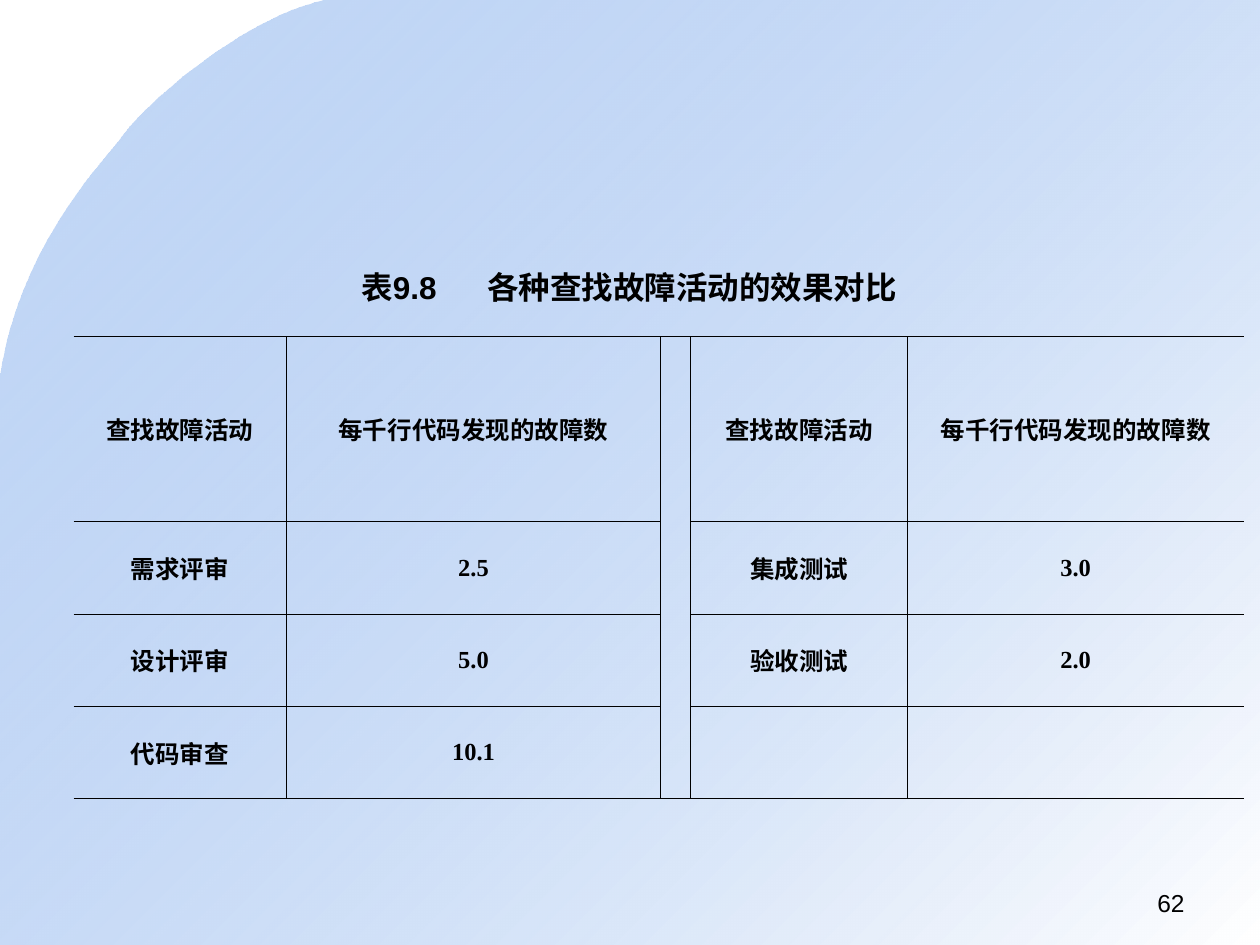
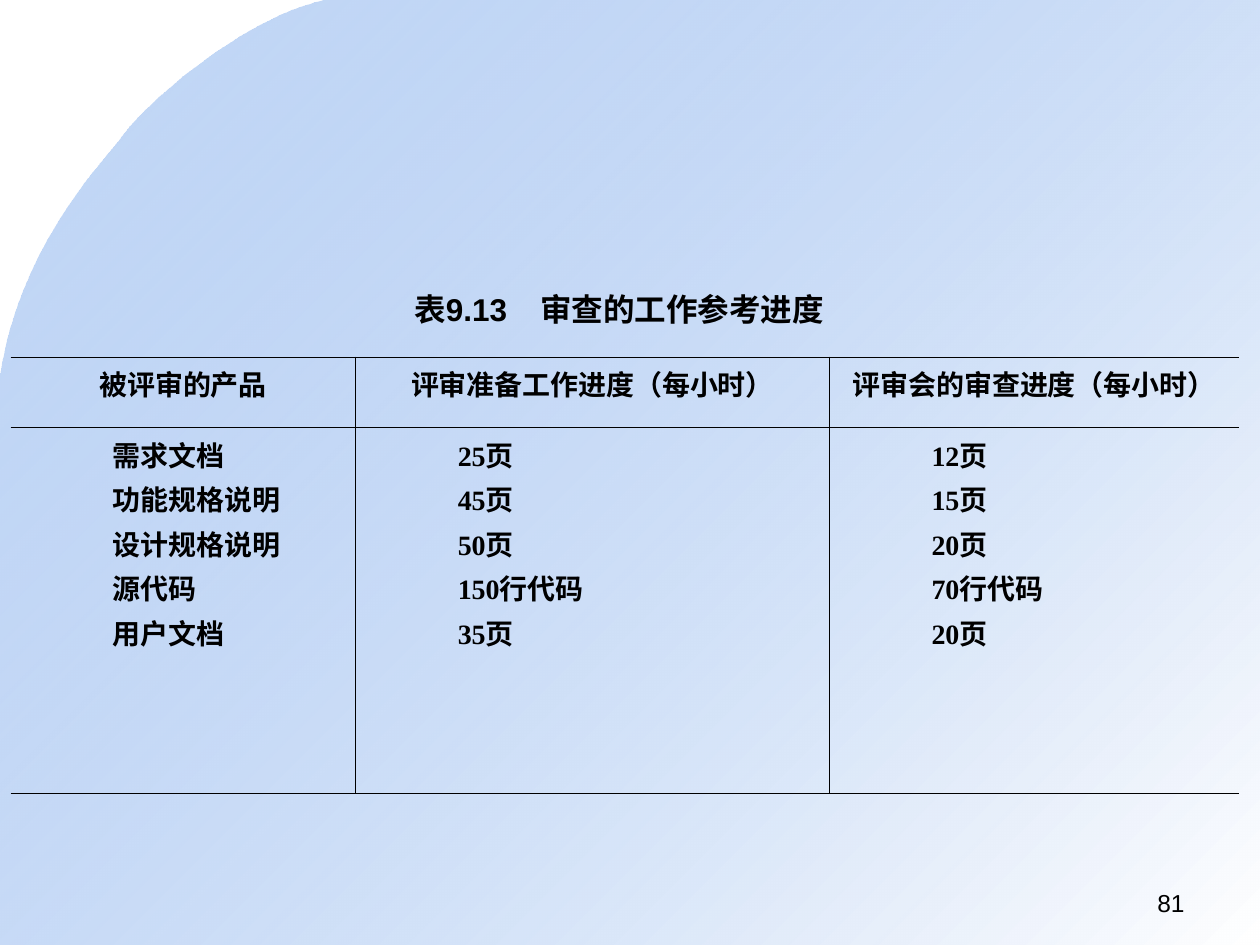
from lxml.etree import SubElement
from pptx import Presentation
from pptx.dml.color import RGBColor
from pptx.enum.text import MSO_ANCHOR, MSO_AUTO_SIZE, PP_ALIGN
from pptx.oxml import parse_xml
from pptx.oxml.ns import nsdecls, qn
from pptx.util import Pt

BLACK = RGBColor(0x00, 0x00, 0x00)
WHITE = RGBColor(0xFF, 0xFF, 0xFF)
SKY = RGBColor(0x69, 0x9D, 0xE9)
SKY_ALPHA = 39000
SANS, SERIF = "Arial", "Times New Roman"

SLIDE_WIDTH, SLIDE_HEIGHT = 720, 540
BACKDROP_BOX = (0, 0, SLIDE_WIDTH, SLIDE_HEIGHT)
PAGE_NUMBER_BOX = (516, 504, 168, 25.2)
TITLE_TAB = 72
RULE_WIDTH = 0.45
CELL_MARGIN = 5.76
PARAGRAPH_GAP = 1.2
LIST_MARGIN, LIST_INDENT = 31.68, 20.88

FAULT_COLUMNS = (121.68, 213.84, 17.28, 123.84, 192.24)
FAULT_ROW_HEIGHTS = (105.84, 52.8, 52.8, 52.8)
FAULT_ROWS = (
    ("查找故障活动", "每千行代码发现的故障数", "", "查找故障活动", "每千行代码发现的故障数"),
    ("需求评审", "2.5", "", "集成测试", "3.0"),
    ("设计评审", "5.0", "", "验收测试", "2.0"),
    ("代码审查", "10.1", "", "", ""),
)
GUTTER_COLUMN = 2

PACE_COLUMNS = (197.28, 270.72, 234)
PACE_ROW_HEIGHTS = (40.3, 208.8)
PACE_ROWS = (
    ("被评审的产品", "评审准备工作进度（每小时）", "评审会的审查进度（每小时）"),
    ("需求文档\n功能规格说明\n设计规格说明\n源代码\n用户文档",
     "25页\n45页\n50页\n150行代码\n35页",
     "12页\n15页\n20页\n70行代码\n20页"),
)


def set_font(paragraph, name, size, bold=False):
    font = paragraph.font
    font.name, font.size, font.bold = name, Pt(size), bold
    font.color.rgb = BLACK


def curve_points(start, control_1, control_2, end, steps=24):
    """Points along a cubic curve, without its start."""
    for step in range(1, steps + 1):
        t = step / steps
        weights = ((1 - t) ** 3, 3 * t * (1 - t) ** 2, 3 * t * t * (1 - t), t ** 3)
        yield tuple(sum(weight * point[axis] for weight, point
                        in zip(weights, (start, control_1, control_2, end)))
                    for axis in (0, 1))


def add_backdrop(slide, box):
    """Gradient sheet with a rounded upper left corner."""
    left, top, width, height = box
    corner, shoulder, side = (0.258, 0), (0.098, 0.143), (0, 0.401)
    outline = [corner,
               *curve_points(corner, (0.19, 0.021), (0.116, 0.111), shoulder),
               *curve_points(shoulder, (0.08, 0.176), (0.016, 0.259), side),
               (0, 1), (1, 1), (1, 0)]
    points = [(Pt(left + x * width), Pt(top + y * height)) for x, y in outline]
    builder = slide.shapes.build_freeform(*points[0], scale=1.0)
    builder.add_line_segments(points[1:], close=True)
    shape = builder.convert_to_shape()
    shape.shadow.inherit = False
    shape.line.fill.background()
    # Gradient with a translucent first stop
    gradient = parse_xml(
        f'<a:gradFill rotWithShape="1" {nsdecls("a")}><a:gsLst>'
        f'<a:gs pos="0"><a:srgbClr val="{SKY}"><a:alpha val="{SKY_ALPHA}"/></a:srgbClr></a:gs>'
        f'<a:gs pos="100000"><a:srgbClr val="{WHITE}"/></a:gs>'
        '</a:gsLst><a:lin ang="2700000" scaled="1"/></a:gradFill>')
    shape.element.spPr.find(qn("a:custGeom")).addnext(gradient)


def add_text(slide, box, text, size, bold=False, align=PP_ALIGN.LEFT, wrap=True):
    shape = slide.shapes.add_textbox(*map(Pt, box))
    frame = shape.text_frame
    frame.word_wrap = wrap
    if not wrap:
        frame.auto_size = MSO_AUTO_SIZE.SHAPE_TO_FIT_TEXT
    paragraph = frame.paragraphs[0]
    paragraph.text = text
    paragraph.alignment = align
    if "\t" in text:
        tabs = SubElement(paragraph._p.get_or_add_pPr(), qn("a:tabLst"))
        SubElement(tabs, qn("a:tab"), pos=str(Pt(TITLE_TAB)), algn="l")
    set_font(paragraph, SANS, size, bold)


def set_borders(cell, visible_sides):
    properties = cell._tc.get_or_add_tcPr()
    for position, side in enumerate("LRTB"):
        paint = (f'<a:solidFill><a:srgbClr val="{BLACK}"/></a:solidFill>'
                 if side in visible_sides else "<a:noFill/>")
        properties.insert(position, parse_xml(
            f'<a:ln{side} w="{Pt(RULE_WIDTH)}" {nsdecls("a")}>{paint}</a:ln{side}>'))


def fill_cell(cell, text, size, anchor):
    cell.fill.background()
    cell.vertical_anchor = anchor
    cell.margin_left = cell.margin_right = Pt(CELL_MARGIN)
    cell.text = text
    paragraphs = cell.text_frame.paragraphs
    for index, paragraph in enumerate(paragraphs):
        if len(paragraphs) > 1:
            properties = paragraph._p.get_or_add_pPr()
            properties.set("marL", str(Pt(LIST_MARGIN)))
            properties.set("indent", str(Pt(LIST_INDENT)))
            paragraph.alignment = PP_ALIGN.JUSTIFY
        else:
            paragraph.alignment = PP_ALIGN.CENTER
        paragraph.space_before = Pt(PARAGRAPH_GAP if index else 0)
        paragraph.space_after = Pt(PARAGRAPH_GAP)
        set_font(paragraph, SERIF, size, bold=True)


def add_ruled_table(slide, corner, columns, heights, rows, size, anchor, gutter=None):
    """Table with thin rules, open at its left and right edges."""
    box = (*corner, sum(columns), sum(heights))
    table = slide.shapes.add_table(len(rows), len(columns), *map(Pt, box)).table
    table.first_row = table.horz_banding = False
    for column, width in zip(table.columns, columns):
        column.width = Pt(width)
    for row, height in zip(table.rows, heights):
        row.height = Pt(height)
    if gutter is not None:
        table.cell(0, gutter).merge(table.cell(len(rows) - 1, gutter))
    for row_index, texts in enumerate(rows):
        for column_index, text in enumerate(texts):
            cell = table.cell(row_index, column_index)
            fill_cell(cell, text, size, anchor)
            sides = "" if cell.is_spanned else "TB"
            if row_index == len(rows) - 1:
                sides += "B"
            if column_index > 0:
                sides += "L"
            if column_index < len(columns) - 1:
                sides += "R"
            set_borders(cell, sides)


def add_table_slide(presentation, title, title_box, page_number, **table_options):
    slide = presentation.slides.add_slide(presentation.slide_layouts[6])
    add_backdrop(slide, BACKDROP_BOX)
    add_ruled_table(slide, **table_options)
    add_text(slide, title_box, title, 18, bold=True, wrap=False)
    add_text(slide, PAGE_NUMBER_BOX, page_number, 14, align=PP_ALIGN.RIGHT)


def main():
    presentation = Presentation()
    presentation.slide_width = Pt(SLIDE_WIDTH)
    presentation.slide_height = Pt(SLIDE_HEIGHT)
    # Fault finding activities
    add_table_slide(
        presentation, "表9.8\t各种查找故障活动的效果对比", (199.44, 149.76, 320.4, 28.8), "62",
        corner=(42, 192.24), columns=FAULT_COLUMNS, heights=FAULT_ROW_HEIGHTS,
        rows=FAULT_ROWS, size=14, anchor=MSO_ANCHOR.MIDDLE, gutter=GUTTER_COLUMN)
    # Review pace
    add_table_slide(
        presentation, "表9.13 \t审查的工作参考进度", (229.68, 162, 248.4, 28.8), "81",
        corner=(6, 204), columns=PACE_COLUMNS, heights=PACE_ROW_HEIGHTS,
        rows=PACE_ROWS, size=16, anchor=MSO_ANCHOR.TOP)
    presentation.save("out.pptx")


if __name__ == "__main__":
    main()
